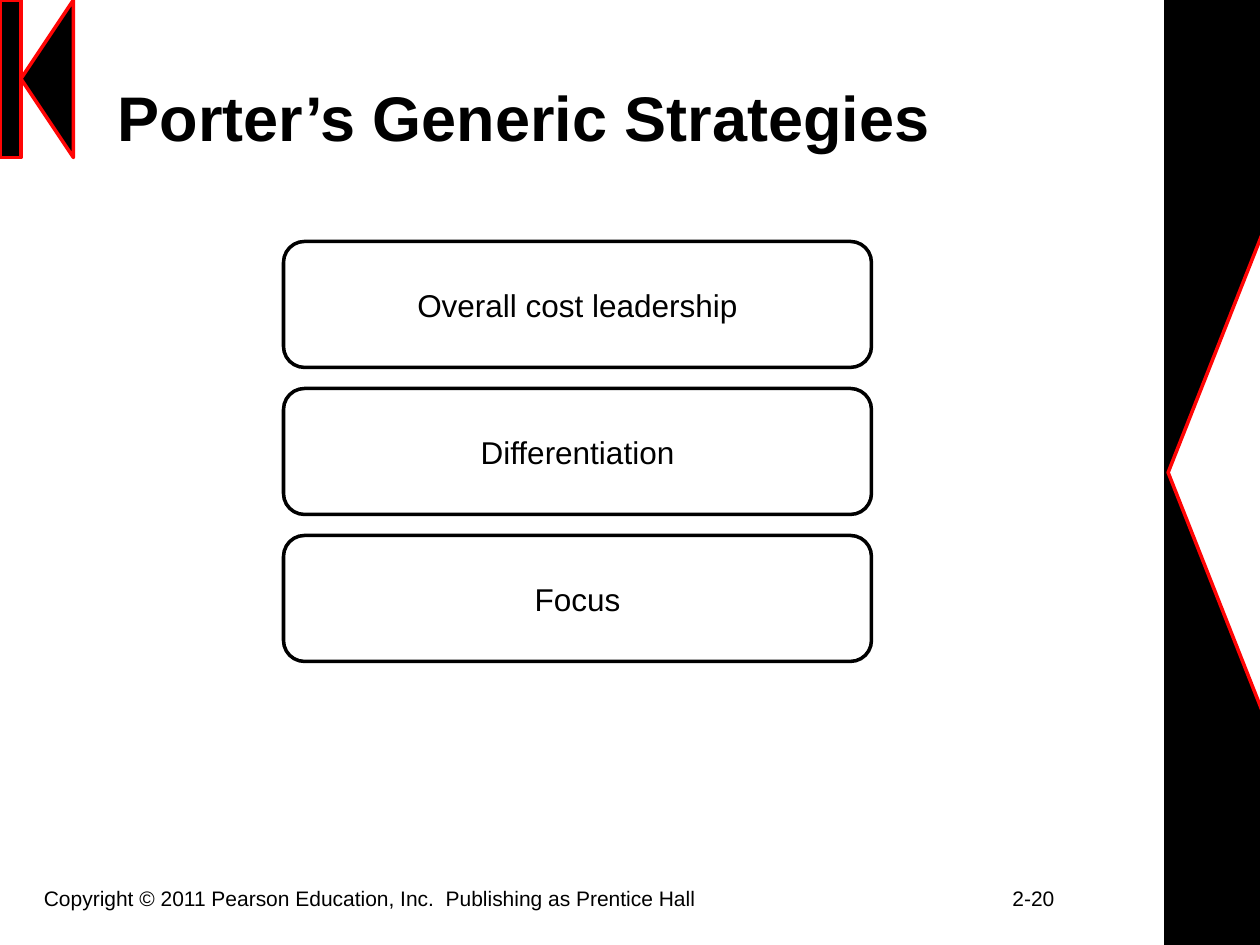
from dataclasses import dataclass

from pptx import Presentation
from pptx.dml.color import RGBColor
from pptx.enum import shapes, text
from pptx.oxml import parse_xml
from pptx.oxml.ns import nsdecls
from pptx.util import Pt


@dataclass(frozen=True)
class Theme:
    font: str = "Arial"
    black: RGBColor = RGBColor(0x00, 0x00, 0x00)
    white: RGBColor = RGBColor(0xFF, 0xFF, 0xFF)
    red: RGBColor = RGBColor(0xFF, 0x05, 0x05)
    title_size: int = 36
    body_size: int = 18
    footer_size: int = 12
    line_width: int = 2


class SlideBuilder:
    def __init__(self, page, theme):
        self.page = page
        self.theme = theme

    def format_text(self, frame, words, size, align, anchor, bold=False, tab=None):
        """Fill a text frame with one paragraph; tab is a left stop in points."""
        frame.word_wrap = True
        frame.auto_size = text.MSO_AUTO_SIZE.NONE
        frame.vertical_anchor = anchor
        para = frame.paragraphs[0]
        para.text = words
        para.alignment = align
        if tab is not None:
            para._p.get_or_add_pPr().append(parse_xml(
                f'<a:tabLst {nsdecls("a")}><a:tab pos="{Pt(tab)}" algn="l"/></a:tabLst>'))
        para.font.name = self.theme.font
        para.font.size = Pt(size)
        para.font.bold = bold
        para.font.color.rgb = self.theme.black

    def title(self, words, left, top, width, height):
        box = self.page.shapes.title
        box.left, box.top, box.width, box.height = map(Pt, (left, top, width, height))
        self.format_text(box.text_frame, words, self.theme.title_size,
                         text.PP_ALIGN.LEFT, text.MSO_ANCHOR.MIDDLE, bold=True)

    def shape(self, kind, left, top, width, height, fill, line, rotation=0):
        shape = self.page.shapes.add_shape(kind, *map(Pt, (left, top, width, height)))
        shape.shadow.inherit = False
        shape.rotation = rotation
        shape.fill.solid()
        shape.fill.fore_color.rgb = fill
        shape.line.color.rgb = line
        shape.line.width = Pt(self.theme.line_width)
        return shape

    def left_triangle(self, left, top, width, height, fill, line):
        """Draw a triangle pointing left that covers the given area once turned."""
        shift = (height - width) / 2
        self.shape(shapes.MSO_SHAPE.ISOSCELES_TRIANGLE, left - shift, top + shift,
                   height, width, fill, line, rotation=270)

    def card(self, words, left, top, width, height):
        card = self.shape(shapes.MSO_SHAPE.ROUNDED_RECTANGLE, left, top, width, height,
                          self.theme.white, self.theme.black)
        self.format_text(card.text_frame, words, self.theme.body_size,
                         text.PP_ALIGN.CENTER, text.MSO_ANCHOR.MIDDLE)

    def footer(self, words, left, top, width, height, tab):
        box = self.page.shapes.add_textbox(*map(Pt, (left, top, width, height)))
        self.format_text(box.text_frame, words, self.theme.footer_size,
                         text.PP_ALIGN.LEFT, text.MSO_ANCHOR.TOP, tab=tab)


def main():
    deck = Presentation()
    deck.slide_width, deck.slide_height = Pt(720), Pt(540)
    theme = Theme()
    builder = SlideBuilder(deck.slides.add_slide(deck.slide_layouts[5]), theme)
    rectangle = shapes.MSO_SHAPE.RECTANGLE

    builder.shape(rectangle, 666, 0, 54, 540, theme.black, theme.black)
    builder.left_triangle(667.5, 0, 106.5, 540, theme.white, theme.red)
    builder.left_triangle(12, 0, 30, 90, theme.black, theme.red)
    builder.shape(rectangle, 0, 0, 12, 90, theme.black, theme.red)

    builder.title("Porter’s Generic Strategies", 60, 21.6, 606, 90)
    builder.footer("Copyright © 2011 Pearson Education, Inc.  Publishing as Prentice Hall\t2-20",
                   18, 502.5, 678, 37.5, tab=553.5)

    strategies = ("Overall cost leadership", "Differentiation", "Focus")
    card_height, gap = 72, 12
    for row, strategy in enumerate(strategies):
        builder.card(strategy, 162, 138 + row * (card_height + gap), 336, card_height)

    deck.save("out.pptx")


if __name__ == "__main__":
    main()
